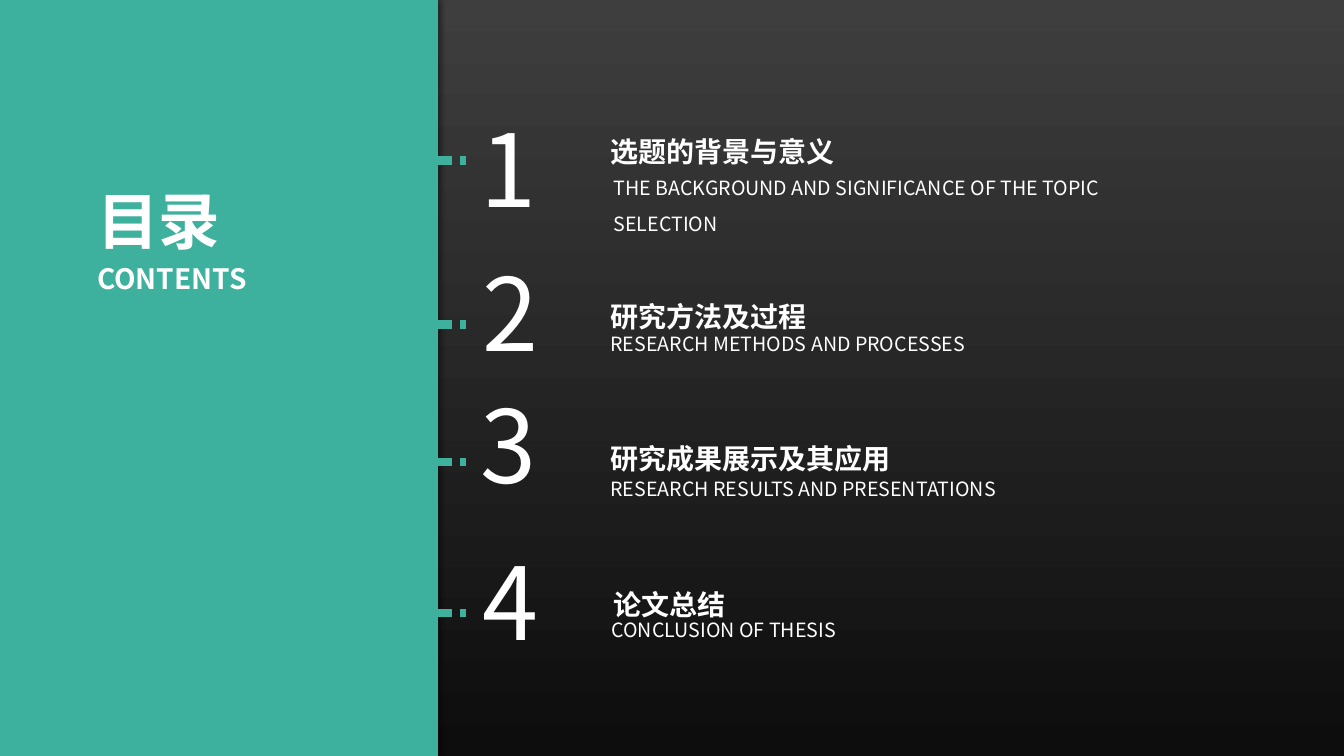
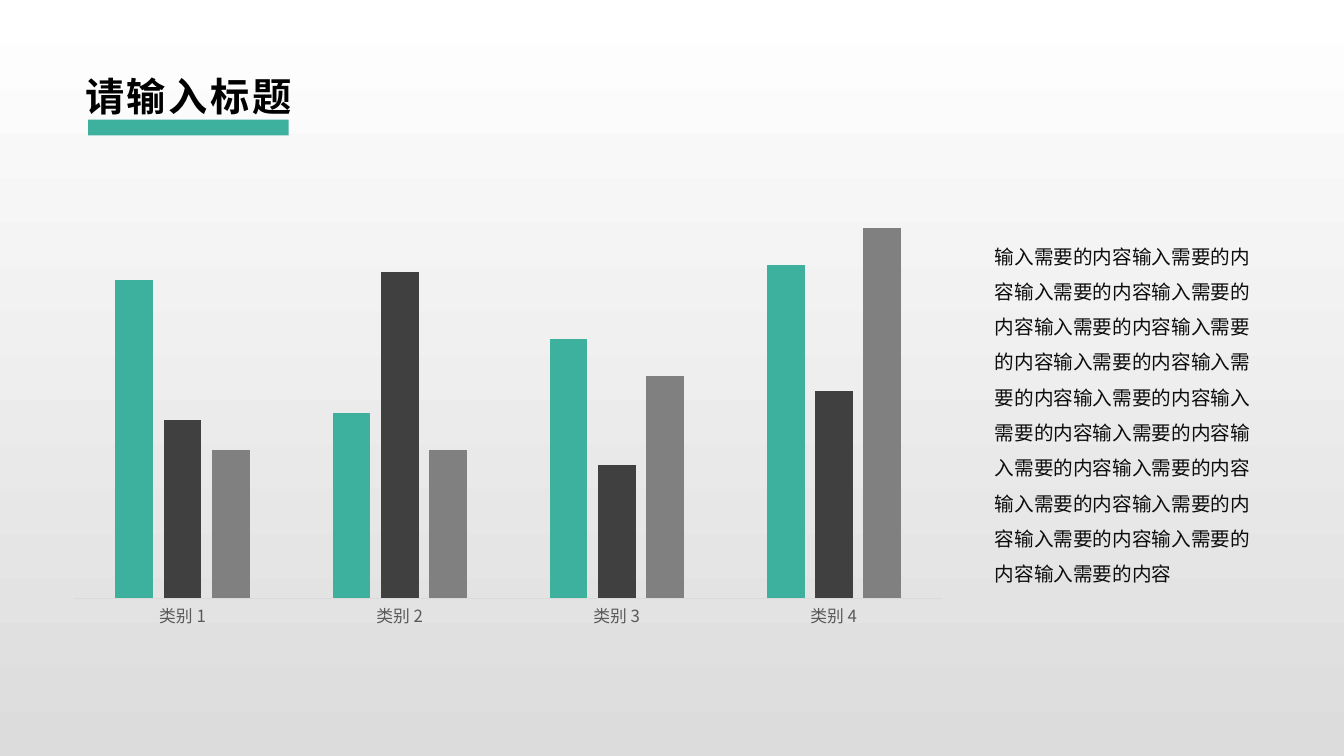
from lxml import etree
from pptx import Presentation
from pptx.chart.data import CategoryChartData
from pptx.dml.color import RGBColor
from pptx.enum.chart import XL_CHART_TYPE, XL_TICK_MARK
from pptx.enum.dml import MSO_LINE
from pptx.enum.shapes import MSO_CONNECTOR, MSO_SHAPE
from pptx.enum.text import MSO_ANCHOR, MSO_AUTO_SIZE, PP_ALIGN
from pptx.oxml import parse_xml
from pptx.oxml.ns import nsdecls, qn
from pptx.util import Emu, Pt

RECTANGLE = MSO_SHAPE.RECTANGLE
STRAIGHT = MSO_CONNECTOR.STRAIGHT
SHORT_DASH = MSO_LINE.SQUARE_DOT
COLUMNS = XL_CHART_TYPE.COLUMN_CLUSTERED
NO_TICK = XL_TICK_MARK.NONE
GROW = MSO_AUTO_SIZE.SHAPE_TO_FIT_TEXT
FIXED = MSO_AUTO_SIZE.NONE
MIDDLE = MSO_ANCHOR.MIDDLE
JUSTIFY = PP_ALIGN.JUSTIFY

EMU_PER_PX = 9525
SLIDE_WIDTH, SLIDE_HEIGHT = 1280, 720
FONT_NAME = "Noto Sans CJK SC"
TEAL, CHARCOAL, GRAY = "3DB19E", "404040", "808080"
WHITE, BLACK, INK = "FFFFFF", "000000", "0D0D0D"
LIGHT_GRADIENT = (WHITE, "DCDCDC")
DARK_GRADIENT = ("3E3E3E", INK)

STYLES = {
    "contents": {"size": Pt(44), "bold": True, "color": WHITE},
    "entry": {"size": Pt(20), "bold": True, "color": WHITE},
    "caption": {"size": Pt(14), "color": WHITE},
    "number": {"size": Pt(72), "color": WHITE},
    "title": {"size": Pt(28), "bold": True, "color": BLACK, "spacing": 200},
    "body": {"size": Pt(14), "color": INK},
    "chart": {"size": Pt(10), "color": BLACK},
    "axis": {"size": Pt(12), "color": "595959"},
}

ENTRIES = [
    (153, (448, 97), "选题的背景与意义", (572, 107),
     "THE BACKGROUND AND SIGNIFICANCE OF THE TOPIC SELECTION", (575, 152)),
    (309, (450, 234), "研究方法及过程", (572, 265),
     "RESEARCH METHODS AND PROCESSES", (572, 300)),
    (440, (448, 360), "研究成果展示及其应用", (572, 400),
     "RESEARCH RESULTS AND PRESENTATIONS", (572, 438)),
    (584, (450, 509), "论文总结", (575, 539),
     "CONCLUSION OF THESIS", (573, 573)),
]
CATEGORIES = [f"类别 {number}" for number in range(1, 5)]
SERIES = [
    ("Series 1", (86, 50, 70, 90), TEAL),
    ("Series 2", (48, 88, 36, 56), CHARCOAL),
    ("Series 3", (40, 40, 60, 100), GRAY),
]
PLOT_LAYOUT = {"x": 0, "y": 0.03, "w": 0.97, "h": 0.89}


def px(*lengths):
    """Convert pixel lengths to a list of EMU lengths."""
    return [Emu(length * EMU_PER_PX) for length in lengths]


def rgb(color):
    """Turn a hex string into a colour."""
    return RGBColor.from_string(color)


def paint(fill, color):
    """Fill with one colour, or downwards from the first of two to the second."""
    if isinstance(color, str):
        fill.solid()
        fill.fore_color.rgb = rgb(color)
        return
    fill.gradient()
    fill.gradient_angle = 270
    for stop, stop_color in zip(fill.gradient_stops, color):
        stop.color.rgb = rgb(stop_color)


def format_font(font, style):
    """Apply a named style to a font, for Latin and East Asian text."""
    values = {"name": FONT_NAME, **STYLES[style]}
    font.color.rgb = rgb(values.pop("color"))
    spacing = values.pop("spacing", None)
    for name, value in values.items():
        setattr(font, name, value)
    properties = font._rPr
    etree.SubElement(properties, qn("a:ea"), typeface=FONT_NAME)
    if spacing:
        properties.set("spc", str(spacing))


def add_text(slide, box, text, style, line_spacing=1.5, alignment=None, **frame):
    """Add a text box with one paragraph."""
    shape = slide.shapes.add_textbox(*px(*box))
    values = {"word_wrap": True, "auto_size": GROW, **frame}
    for name, value in values.items():
        setattr(shape.text_frame, name, value)
    paragraph = shape.text_frame.paragraphs[0]
    paragraph.line_spacing = line_spacing
    paragraph.alignment = alignment
    run = paragraph.add_run()
    run.text = text
    format_font(run.font, style)


def add_band(slide, box, color):
    """Add a rectangle without an outline or shadow."""
    shape = slide.shapes.add_shape(RECTANGLE, *px(*box))
    shape.shadow.inherit = False
    paint(shape.fill, color)
    shape.line.fill.background()
    return shape


def add_side_shadow(shape):
    """Cast a soft shadow to the right of a shape."""
    effects = shape._element.spPr.find(qn("a:effectLst"))
    effects.append(parse_xml(
        f'<a:outerShdw {nsdecls("a")} blurRad="{Pt(4)}" dist="{Pt(3)}" dir="0" '
        f'algn="l" rotWithShape="0"><a:srgbClr val="{BLACK}">'
        '<a:alpha val="40000"/></a:srgbClr></a:outerShdw>'))


def add_dashes(slide, left, right, y):
    """Add a thick horizontal dashed line."""
    connector = slide.shapes.add_connector(STRAIGHT, *px(left, y, right, y))
    connector.line.color.rgb = rgb(TEAL)
    connector.line.width = Pt(6)
    connector.line.dash_style = SHORT_DASH
    etree.SubElement(connector._element.spPr, qn("a:effectLst"))


def add_title(slide, text):
    """Add a slide title with its teal underline."""
    left, top, right, bottom = px(11, 4, 8, 4)
    add_text(slide, (70, 46, 1140, 68), text, "title", auto_size=FIXED,
             vertical_anchor=MIDDLE, margin_left=left, margin_top=top,
             margin_right=right, margin_bottom=bottom)
    add_band(slide, (84, 114, 191, 15), TEAL)


def set_plot_layout(chart):
    """Fix the inner plot area as fractions of the chart."""
    plot_area = chart._chartSpace.chart.plotArea
    for layout in plot_area.findall(qn("c:layout")):
        plot_area.remove(layout)
    modes = "".join(f'<c:{axis}Mode val="edge"/>' for axis in "xy")
    sizes = "".join(f'<c:{key} val="{value}"/>' for key, value in PLOT_LAYOUT.items())
    plot_area.insert(0, parse_xml(
        f'<c:layout {nsdecls("c")}><c:manualLayout><c:layoutTarget val="inner"/>'
        f'{modes}{sizes}</c:manualLayout></c:layout>'))


def add_columns(slide, box):
    """Add the clustered column chart."""
    data = CategoryChartData()
    data.categories = CATEGORIES
    for name, values, _ in SERIES:
        data.add_series(name, values)
    chart = slide.shapes.add_chart(COLUMNS, *px(*box), data).chart
    chart.has_legend = False
    chart.has_title = False
    format_font(chart.font, "chart")
    plot = chart.plots[0]
    for name, value in {"gap_width": 219, "overlap": -27,
                        "vary_by_categories": False}.items():
        setattr(plot, name, value)
    for series, (_, _, color) in zip(plot.series, SERIES):
        paint(series.format.fill, color)
    for name, value in {"minimum_scale": 0, "maximum_scale": 120, "visible": False,
                        "has_major_gridlines": False}.items():
        setattr(chart.value_axis, name, value)
    axis = chart.category_axis
    axis.major_tick_mark = NO_TICK
    axis.format.line.color.rgb = rgb("D9D9D9")
    axis.format.line.width = Pt(0.75)
    format_font(axis.tick_labels.font, "axis")
    set_plot_layout(chart)


def build_contents(slide):
    """Build the table of contents."""
    add_band(slide, (0, 0, SLIDE_WIDTH, SLIDE_HEIGHT), DARK_GRADIENT)
    add_side_shadow(add_band(slide, (0, 0, 417, SLIDE_HEIGHT), TEAL))
    add_text(slide, (83, 134, 182, 107), "目录", "contents", alignment=JUSTIFY)
    add_text(slide, (83, 228, 252, 54), "CONTENTS", "entry", alignment=JUSTIFY)
    for number, entry in enumerate(ENTRIES, start=1):
        dash_y, number_at, heading, heading_at, caption, caption_at = entry
        add_dashes(slide, 342, 444, dash_y)
        add_text(slide, (*heading_at, 302, 54), heading, "entry")
        add_text(slide, (*caption_at, 562, 40), caption, "caption")
        add_text(slide, (*number_at, 64, 126), str(number), "number", line_spacing=1.0)


def build_chart(slide):
    """Build the chart slide with its explanation."""
    add_title(slide, "请输入标题")
    add_columns(slide, (70, 132, 853, 476))
    add_text(slide, (938, 217, 272, 346), "输入需要的内容" * 18, "body")


def main():
    """Build and save the presentation."""
    presentation = Presentation()
    presentation.slide_width, presentation.slide_height = px(SLIDE_WIDTH, SLIDE_HEIGHT)
    paint(presentation.slide_master.background.fill, LIGHT_GRADIENT)
    blank_layout = presentation.slide_layouts[6]
    for build in (build_contents, build_chart):
        build(presentation.slides.add_slide(blank_layout))
    presentation.save("out.pptx")


if __name__ == "__main__":
    main()
